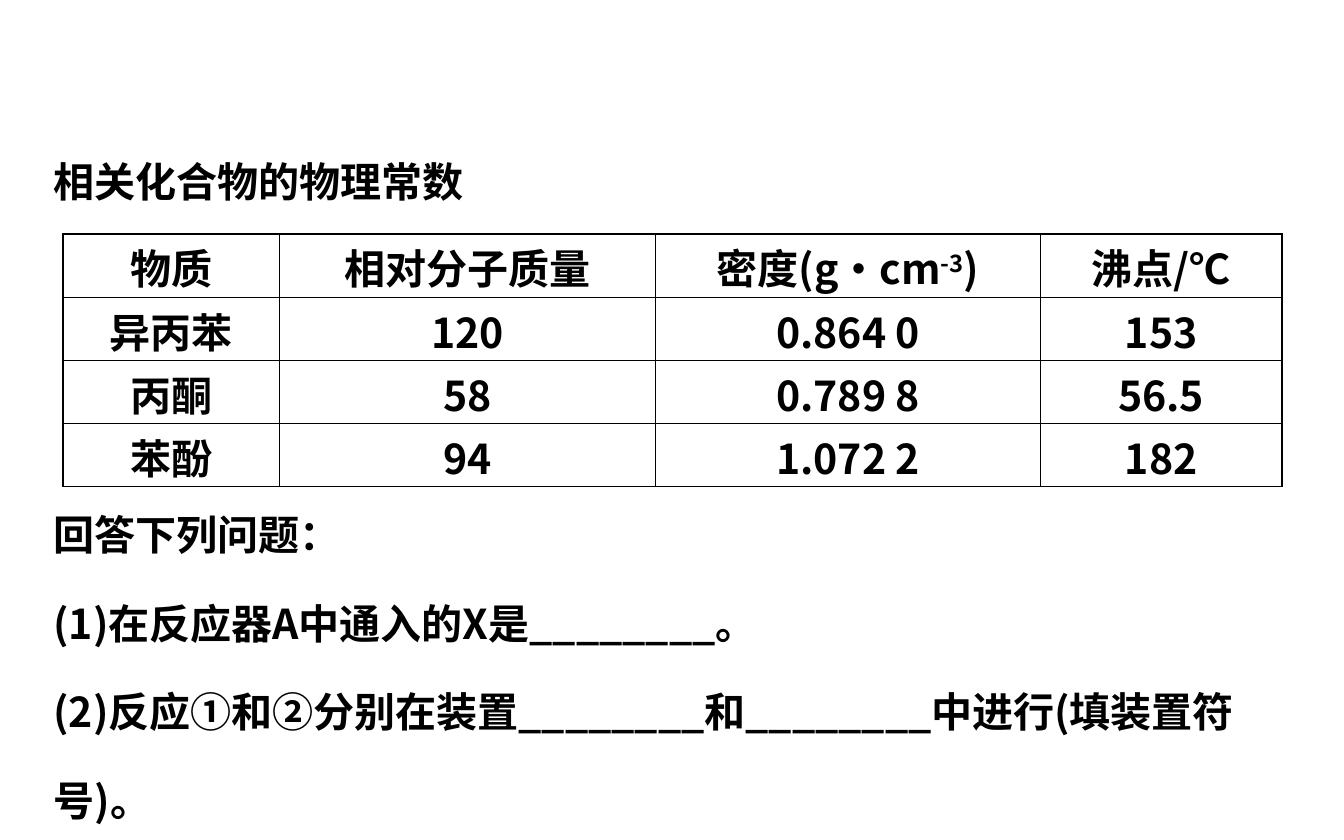
from lxml.etree import SubElement
from pptx import Presentation
from pptx.dml.color import RGBColor
from pptx.enum.text import PP_ALIGN
from pptx.oxml.ns import qn
from pptx.util import Emu, Pt

PX = Emu(9144)
BLACK = RGBColor(0x00, 0x00, 0x00)
FONT = "Noto Sans CJK SC"
THIN, THICK = Pt(0.45), Pt(0.96)


def format_paragraph(paragraph, line_spacing):
    paragraph.line_spacing = line_spacing
    font = paragraph.font
    font.size = Pt(22)
    font.bold = True
    font.color.rgb = BLACK
    font.name = FONT
    defaults = paragraph._p.pPr.find(qn("a:defRPr"))
    SubElement(defaults, qn("a:ea"), typeface=FONT)


def add_border(cell, side, width):
    line = SubElement(cell._tc.get_or_add_tcPr(), qn(f"a:{side}"), w=str(width))
    fill = SubElement(line, qn("a:solidFill"))
    SubElement(fill, qn("a:srgbClr"), val=str(BLACK))


prs = Presentation()
prs.slide_width = 1000 * PX
prs.slide_height = 625 * PX
slide = prs.slides.add_slide(prs.slide_layouts[6])

lines = [
    "相关化合物的物理常数",
    "回答下列问题：",
    "(1)在反应器A中通入的X是________。",
    "(2)反应①和②分别在装置________和________中进行(填装置符号)。",
]
questions = slide.shapes.add_textbox(30 * PX, 82 * PX, 943 * PX, 538 * PX).text_frame
questions.word_wrap = True
for index, line in enumerate(lines):
    paragraph = questions.paragraphs[0] if index == 0 else questions.add_paragraph()
    paragraph.text = line
    format_paragraph(paragraph, Pt(47.4))
questions.paragraphs[1].space_before = Pt(142)

constants = [
    ["物质", "相对分子质量", "密度(g·cm^-3^)", "沸点/℃"],
    ["异丙苯", "120", "0.864 0", "153"],
    ["丙酮", "58", "0.789 8", "56.5"],
    ["苯酚", "94", "1.072 2", "182"],
]
column_widths = [161, 280, 286, 180]
last_row, last_column = len(constants) - 1, len(column_widths) - 1

table = slide.shapes.add_table(
    len(constants), len(column_widths), 47 * PX, 174 * PX, sum(column_widths) * PX, 188 * PX
).table
table.first_row = False
table.horz_banding = False
for column, width in zip(table.columns, column_widths):
    column.width = width * PX

for r, substance in enumerate(constants):
    table.rows[r].height = 47 * PX
    for c, value in enumerate(substance):
        cell = table.cell(r, c)
        cell.margin_top = PX
        cell.margin_bottom = 0
        paragraph = cell.text_frame.paragraphs[0]
        paragraph.alignment = PP_ALIGN.CENTER
        for part, words in enumerate(value.split("^")):
            run = paragraph.add_run()
            run.text = words
            if part == 1:
                run._r.get_or_add_rPr().set("baseline", "30000")
        format_paragraph(paragraph, Pt(33))
        outer_sides = {"lnL": c == 0, "lnR": c == last_column, "lnT": r == 0, "lnB": r == last_row}
        for side, is_outer in outer_sides.items():
            add_border(cell, side, THICK if is_outer else THIN)
        cell.fill.background()

prs.save("out.pptx")
